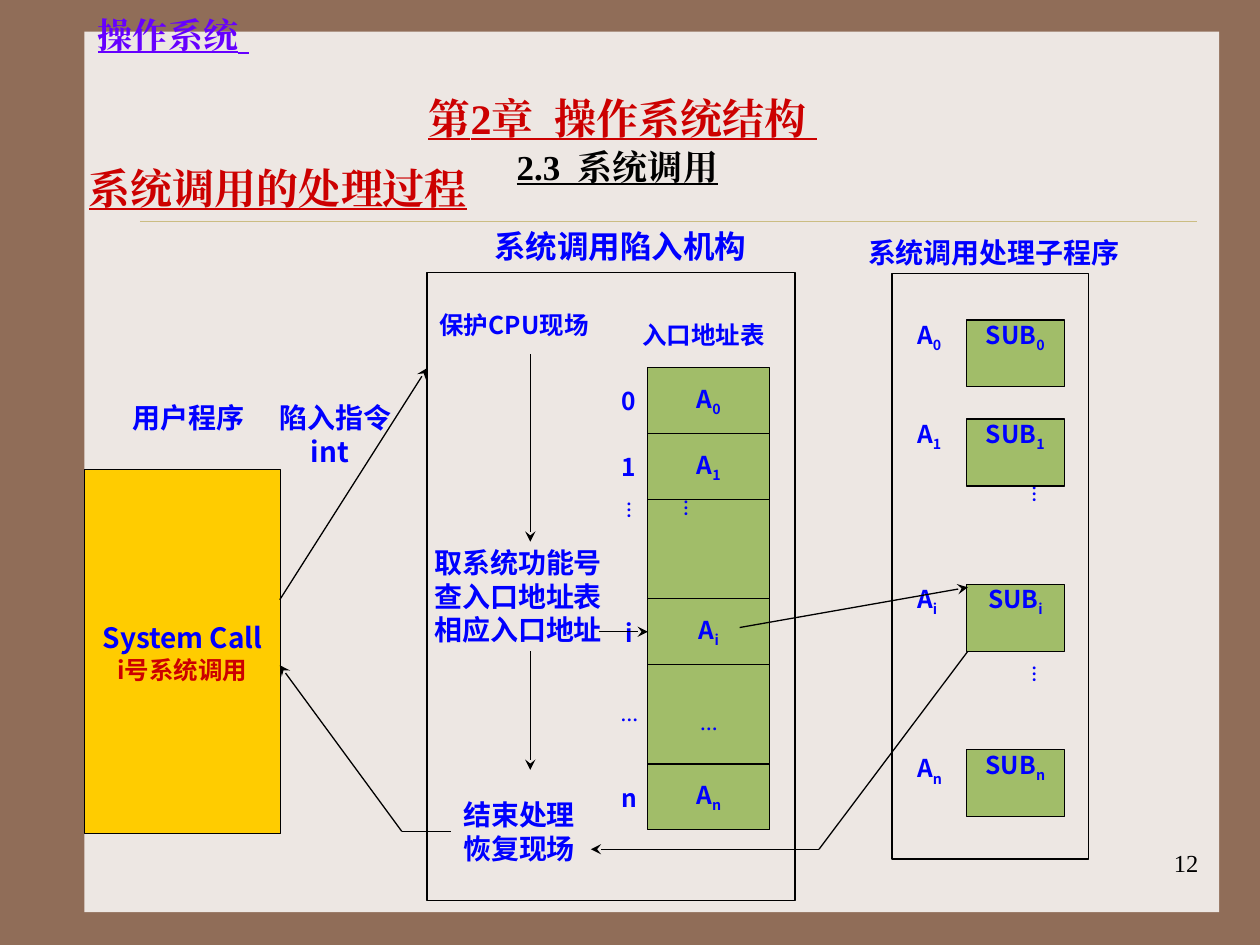
from dataclasses import dataclass
from typing import Optional

from lxml import etree
from pptx import Presentation
from pptx import util as u
from pptx.dml.color import RGBColor
from pptx.enum import lang, shapes, text
from pptx.oxml.ns import qn

BROWN = RGBColor(0x90, 0x6D, 0x58)
CREAM = RGBColor(0xED, 0xE7, 0xE3)
SAND = RGBColor(0xCB, 0xBD, 0x83)
GOLD = RGBColor(0xFF, 0xCC, 0x00)
GREEN = RGBColor(0xA1, 0xBD, 0x69)
BLUE = RGBColor(0x00, 0x00, 0xFF)
VIOLET = RGBColor(0x66, 0x00, 0xFF)
RED = RGBColor(0xCC, 0x00, 0x00)
BLACK = RGBColor(0, 0, 0)
SANS, SERIF = "Noto Sans CJK JP", "Times New Roman"
LEFT, MID, RIGHT = text.PP_ALIGN.LEFT, text.PP_ALIGN.CENTER, text.PP_ALIGN.RIGHT
TOP, CORE = text.MSO_ANCHOR.TOP, text.MSO_ANCHOR.MIDDLE
PAD = (0.25, 0.13, 0.25, 0.13)
NONE = (0, 0, 0, 0)


@dataclass
class Style:
    size: float = 16
    color: RGBColor = BLUE
    font: str = SANS
    bold: bool = True
    line: bool = False
    align: int = LEFT
    anchor: int = TOP
    pad: tuple = NONE
    vert: bool = False


@dataclass
class Label:
    words: str
    at: tuple
    style: Style


@dataclass
class Row:
    key: str
    tall: float
    vert: bool = False


@dataclass
class Sub:
    key: str
    top: float
    drop: float = 0


@dataclass
class Link:
    start: tuple
    end: tuple
    arrow: bool = True


def paint(run, style: Style) -> None:
    font = run.font
    font.size, font.bold, font.name = u.Pt(style.size), style.bold, style.font
    font.underline = style.line
    font.color.rgb = style.color
    font.language_id = lang.MSO_LANGUAGE_ID.SIMPLIFIED_CHINESE
    etree.SubElement(run._r.rPr, qn("a:ea"), typeface=style.font)


def write(shape, words: str, style: Style) -> None:
    """Set the words; an underscore starts a subscript."""
    frame = shape.text_frame
    frame.word_wrap = True
    frame.vertical_anchor = style.anchor
    (frame.margin_left, frame.margin_top,
     frame.margin_right, frame.margin_bottom) = map(u.Cm, style.pad)
    if style.vert:
        frame._txBody.bodyPr.set("vert", "eaVert")
    frame.text = words.replace("_", "")
    for para, line in zip(frame.paragraphs, words.split("\n")):
        para.alignment = style.align
        base, _, sub = line.partition("_")
        para.runs[0].text = base
        if sub:
            para.add_run().text = sub
        for run in para.runs:
            paint(run, style)
        if sub:
            para.runs[1].font._rPr.set("baseline", "-25000")


def label(slide, item: Label):
    box = slide.shapes.add_textbox(*map(u.Cm, item.at))
    write(box, item.words, item.style)
    return box


def block(slide, at: tuple, fill: Optional[RGBColor], edge: bool = True):
    box = slide.shapes.add_shape(shapes.MSO_SHAPE.RECTANGLE, *map(u.Cm, at))
    box.shadow.inherit = False
    if fill is None:
        box.fill.background()
    else:
        box.fill.solid()
        box.fill.fore_color.rgb = fill
    if edge:
        box.line.color.rgb, box.line.width = BLACK, u.Pt(0.75)
    else:
        box.line.fill.background()
    return box


def join(slide, link: Link, color: RGBColor = BLACK, width: float = 0.75):
    wire = slide.shapes.add_connector(
        shapes.MSO_CONNECTOR.STRAIGHT, *map(u.Cm, link.start + link.end))
    wire.line.color.rgb, wire.line.width = color, u.Pt(width)
    if link.arrow:
        etree.SubElement(wire.line._get_or_add_ln(), qn("a:tailEnd"), type="stealth")
    etree.SubElement(wire._element.spPr, qn("a:effectLst"))
    return wire


HEAD = dict(font=SERIF, line=True, align=MID, anchor=CORE, pad=PAD)
BODY, CODE = Style(), Style(14)
WIDE, NOTE = Style(pad=PAD), Style(14, pad=PAD)
NUM, CELL = Style(14, align=MID), Style(14, align=MID, anchor=CORE)
DOTS = Style(10, font=SERIF, align=MID)
DOWN = Style(10, font=SERIF, align=MID, anchor=CORE, vert=True)

LABELS = [
    Label("第2章  操作系统结构 ", (8.2, 1.73, 8.71, 1.27), Style(24, RED, **HEAD)),
    Label("2.3  系统调用", (8, 2.72, 8.89, 1.27), Style(20, BLACK, **HEAD)),
    Label("系统调用的处理过程", (1.3, 3.33, 8.61, 0.89),
          Style(24, RED, SERIF, line=True, align=MID, anchor=CORE)),
    Label("12", (19.13, 16.97, 5.28, 1.27),
          Style(14, BLACK, SERIF, False, align=RIGHT, pad=PAD)),
    Label("用户程序", (2.67, 8.08, 2.46, 1.32), BODY),
    Label("系统调用处理子程序", (17.5, 4.75, 5.36, 1.35), BODY),
    Label("系统调用陷入机构", (9.96, 4.57, 5.28, 0.76), Style(18)),
    Label("保护CPU现场", (8.61, 6.12, 3.96, 0.99), NOTE),
    Label("入口地址表", (12.7, 6.32, 3.18, 1.24), NOTE),
    Label("取系统功能号\n查入口地址表\n相应入口地址", (8.51, 10.87, 3.96, 2.84), WIDE),
    Label("结束处理\n恢复现场", (9.09, 15.95, 2.97, 1.75), WIDE),
    Label("…", (20.57, 9.78, 0.8, 2), DOWN),
    Label("…", (20.57, 13.41, 0.8, 1.4), DOWN),
]
ROWS = [Row("0", 1.33), Row("1", 1.33), Row("…", 2, True),
        Row("i", 1.33), Row("…", 2), Row("n", 1.33)]
SUBS = [Sub("0", 6.45), Sub("1", 8.45), Sub("i", 11.78), Sub("n", 15.11, 0.08)]
LINKS = [
    Link((10.69, 7.14), (10.69, 10.92)),
    Link((10.69, 13.13), (10.69, 15.52)),
    Link((9.09, 16.76), (8.1, 16.76), False),
    Link((8.1, 16.76), (5.64, 13.41)),
    Link((5.64, 12.09), (8.61, 7.42)),
    Link((14.91, 12.65), (19.51, 11.84)),
    Link((19.51, 13.13), (16.51, 17.12), False),
    Link((16.51, 17.12), (11.91, 17.12)),
]


def table(slide) -> None:
    """Entry address table with its row numbers."""
    top = 7.41
    for row in ROWS:
        cell = block(slide, (13.06, top, 2.46, row.tall), GREEN)
        if row.vert:
            write(cell, row.key, Style(10, font=SERIF, align=MID, anchor=CORE,
                                       pad=(0, 0, 0.68, 0), vert=True))
            label(slide, Label(row.key, (12.4, top + 0.05, 0.8, row.tall), DOWN))
        elif row.key == "…":
            write(cell, row.key, Style(10, font=SERIF, align=MID, anchor=CORE,
                                       pad=(0, 0.39, 0, 0)))
            label(slide, Label(row.key, (12.29, top + 0.8, 0.79, 1), DOTS))
        else:
            write(cell, "A_" + row.key, CELL)
            label(slide, Label(row.key, (12.29, top + 0.38, 0.79, row.tall), NUM))
        if row.key == "i":
            mid = top + row.tall / 2
            join(slide, Link((12.07, mid), (13.06, mid))).end_connect(cell, 1)
        top += row.tall


def main() -> None:
    deck = Presentation()
    deck.slide_width, deck.slide_height = u.Cm(25.4), u.Cm(19.05)
    slide = deck.slides.add_slide(deck.slide_layouts[6])
    slide.background.fill.solid()
    slide.background.fill.fore_color.rgb = BROWN

    # Page and frames
    block(slide, (1.7, 0.64, 22.88, 17.75), CREAM, False)
    join(slide, Link((2.82, 4.45), (24.13, 4.45), False), SAND, 0.25)
    block(slide, (8.61, 5.49, 7.42, 12.67), CREAM)
    block(slide, (17.98, 5.51, 3.96, 11.81), None)

    # Course name with its slanted tail
    name = label(slide, Label("操作系统", (1.3, 0, 4.39, 1.27), Style(20, VIOLET, **HEAD)))
    tail = name.text_frame.paragraphs[0].add_run()
    tail.text = " "
    paint(tail, Style(24, VIOLET, SERIF, False, True))
    tail.font.italic = True

    # User program
    user = block(slide, (1.7, 9.47, 3.96, 7.34), GOLD)
    write(user, "System Call\ni号系统调用", Style(align=MID, pad=(0.25, 3.05, 0.25, 0.13)))
    call = user.text_frame.paragraphs[1].runs[0].font
    call.size, call.color.rgb = u.Pt(14), RED

    # Trap instruction
    trap = label(slide, Label("陷入指令\nint", (5.64, 8.08, 2.46, 1.32), BODY))
    trap.text_frame.paragraphs[1]._p.get_or_add_pPr().set("marL", str(u.Cm(0.63)))

    # Titles, table, subroutines and arrows
    for item in LABELS:
        label(slide, item)
    table(slide)
    for sub in SUBS:
        label(slide, Label("A_" + sub.key, (18.49, sub.top + sub.drop, 0.99, 1.35), CODE))
        write(block(slide, (19.48, sub.top, 1.98, 1.35), GREEN), "SUB_" + sub.key, NUM)
    for link in LINKS:
        join(slide, link)
    deck.save("out.pptx")


if __name__ == "__main__":
    main()
